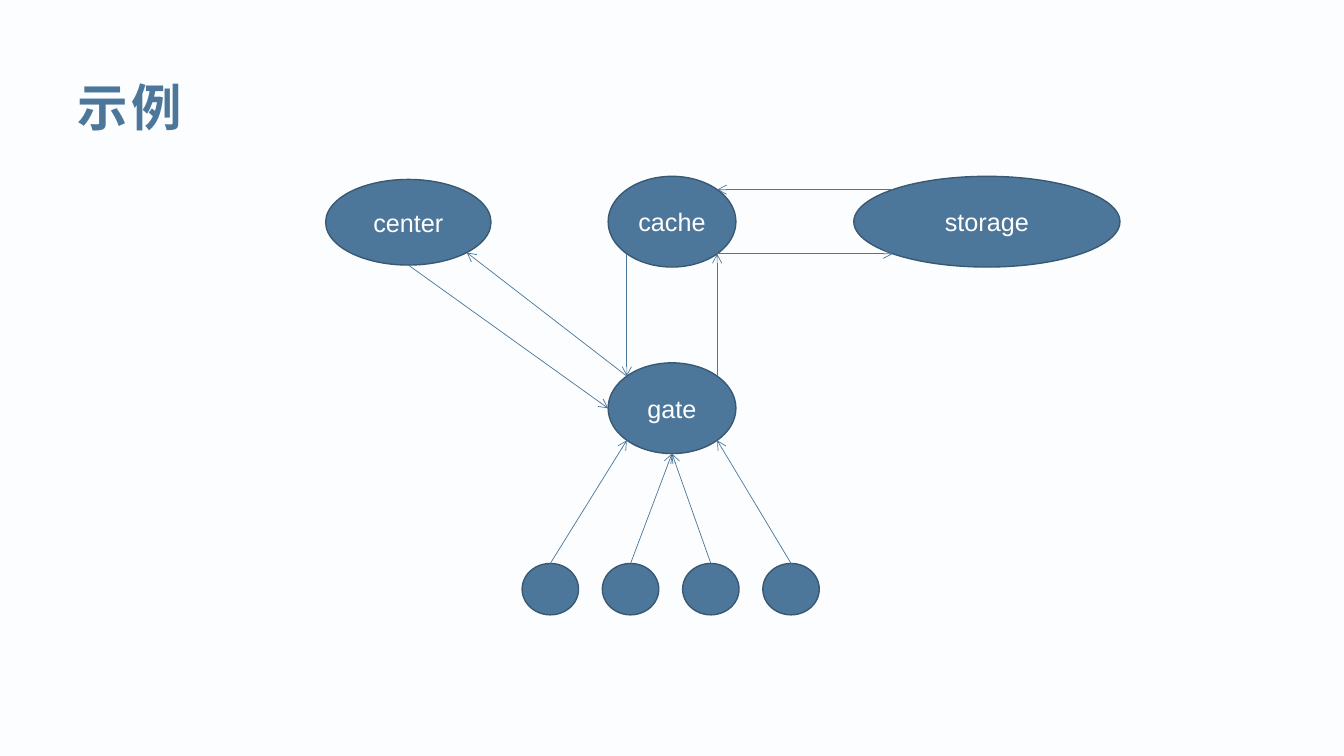
import math

import lxml.etree
import pptx
import pptx.dml.color
import pptx.enum.shapes
import pptx.enum.text
import pptx.oxml.ns
import pptx.util

COLOURS = {
    "background": "FBFDFE",
    "blue": "4D779A",
    "outline": "395872",
    "white": "FFFFFF",
}
DIAGONAL = math.sqrt(0.5)
SITES = {
    "top": (0, -1),
    "left": (-1, 0),
    "bottom": (0, 1),
    "top left": (-DIAGONAL, -DIAGONAL),
    "top right": (DIAGONAL, -DIAGONAL),
    "bottom left": (-DIAGONAL, DIAGONAL),
    "bottom right": (DIAGONAL, DIAGONAL),
}


class Diagram:
    font = "Arial"

    def __init__(self, deck):
        self.deck = deck
        self.page = deck.slides.add_slide(deck.slide_layouts[5])
        self.paint(self.page.background.fill, "background")

    def colour(self, name):
        return pptx.dml.color.RGBColor.from_string(COLOURS[name])

    def paint(self, fill, name):
        fill.solid()
        fill.fore_color.rgb = self.colour(name)

    def place(self, x, y):
        return (
            round(self.deck.slide_width * x / 100),
            round(self.deck.slide_height * y / 100),
        )

    def apply(self, target, values):
        for name, value in values.items():
            setattr(target, name, value)

    def label(self, shape, text, size, colour, align, bold=False):
        frame = shape.text_frame
        self.apply(frame, {
            "word_wrap": True,
            "auto_size": pptx.enum.text.MSO_AUTO_SIZE.NONE,
            "vertical_anchor": pptx.enum.text.MSO_ANCHOR.MIDDLE,
        })
        para = frame.paragraphs[0]
        para.alignment = align
        span = para.add_run()
        span.text = text
        self.apply(span.font, {
            "name": self.font, "size": pptx.util.Pt(size), "bold": bold,
        })
        span.font.color.rgb = self.colour(colour)
        return span

    def title(self, text, x, y, width, height):
        box = self.page.shapes.title
        left, top = self.place(x, y)
        wide, high = self.place(width, height)
        self.apply(box, {"left": left, "top": top, "width": wide, "height": high})
        span = self.label(
            box, text, 36, "blue", pptx.enum.text.PP_ALIGN.LEFT, bold=True
        )
        span.font._element.set("spc", "300")

    def node(self, x, y, width, height, text=""):
        shape = self.page.shapes.add_shape(
            pptx.enum.shapes.MSO_SHAPE.OVAL,
            *self.place(x - width / 2, y - height / 2),
            *self.place(width, height),
        )
        shape.shadow.inherit = False
        self.paint(shape.fill, "blue")
        self.paint(shape.line.fill, "outline")
        shape.line.width = pptx.util.Pt(1)
        if text:
            self.label(shape, text, 18, "white", pptx.enum.text.PP_ALIGN.CENTER)
        return shape

    def site(self, shape, name):
        across, down = SITES[name]
        return (
            round(shape.left + shape.width * (1 + across) / 2),
            round(shape.top + shape.height * (1 + down) / 2),
        )

    def arrow(self, source, start, target, end):
        link = self.page.shapes.add_connector(
            pptx.enum.shapes.MSO_CONNECTOR.STRAIGHT,
            *self.site(source, start),
            *self.site(target, end),
        )
        self.paint(link.line.fill, "blue")
        link.line.width = pptx.util.Pt(0.5)
        qualified = pptx.oxml.ns.qn
        properties = link._element.spPr
        outline = properties.find(qualified("a:ln"))
        head = lxml.etree.SubElement(outline, qualified("a:tailEnd"))
        head.set("type", "arrow")
        lxml.etree.SubElement(properties, qualified("a:effectLst"))


def main():
    deck = pptx.Presentation()
    deck.slide_width = pptx.util.Inches(13.33)
    deck.slide_height = pptx.util.Inches(7.5)
    diagram = Diagram(deck)
    diagram.title("示例", 5, 8.93, 92.1, 10.27)

    gate = diagram.node(50, 54, 9.5, 12, "gate")
    cache = diagram.node(50, 29.33, 9.5, 12, "cache")
    storage = diagram.node(73.43, 29.33, 19.8, 12, "storage")
    center = diagram.node(30.38, 29.4, 12.3, 11.33, "center")
    clients = [
        diagram.node(40.95 + 5.97 * index, 77.93, 4.2, 6.8) for index in range(4)
    ]

    links = [
        (gate, "top right", cache, "bottom right"),
        (cache, "bottom right", storage, "bottom left"),
        (storage, "top left", cache, "top right"),
        (cache, "bottom left", gate, "top left"),
        (gate, "top left", center, "bottom right"),
        (center, "bottom", gate, "left"),
    ]
    entries = ["bottom left", "bottom", "bottom", "bottom right"]
    links += [
        (client, "top", gate, entry) for client, entry in zip(clients, entries)
    ]
    for link in links:
        diagram.arrow(*link)

    deck.save("out.pptx")


if __name__ == "__main__":
    main()
